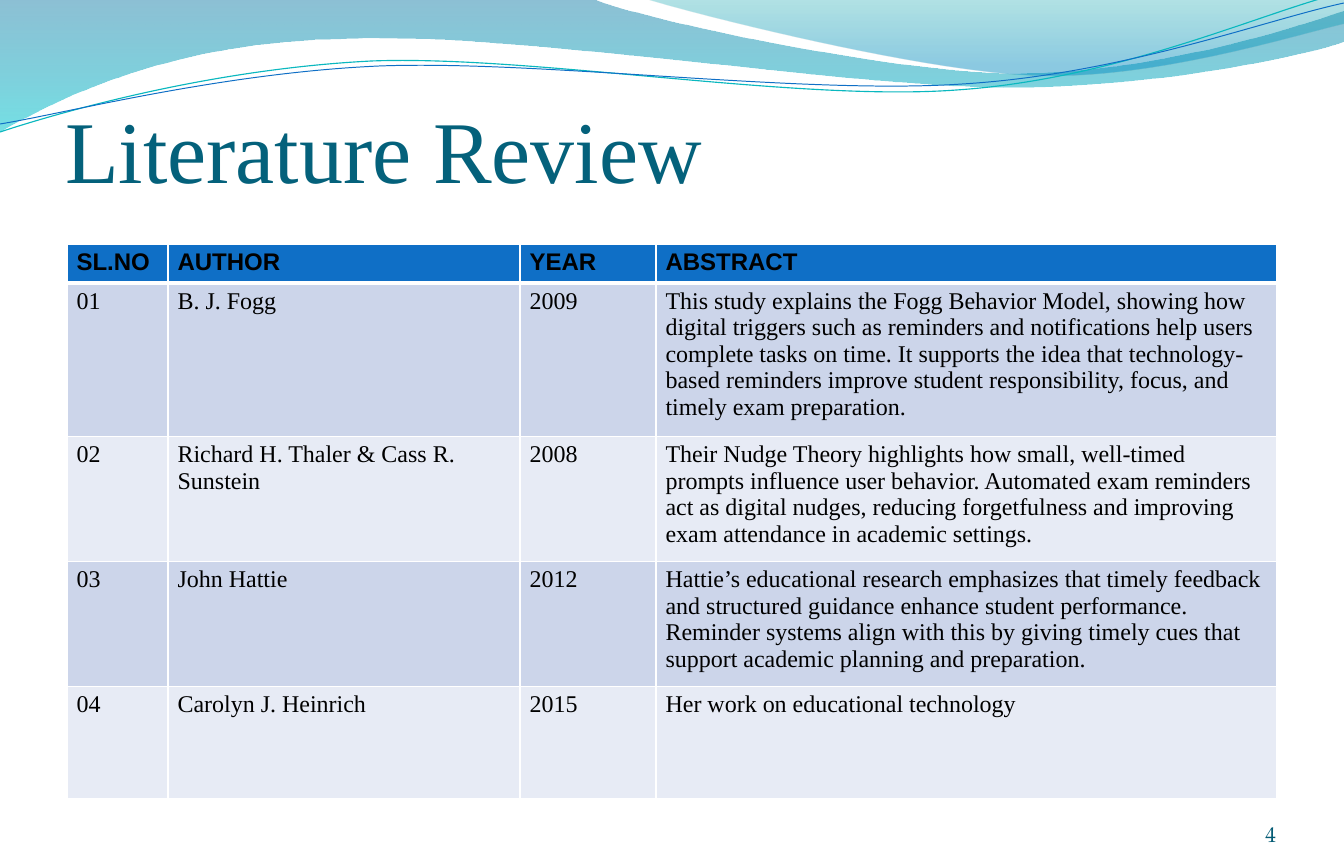
from pptx import Presentation
from pptx import util as u
from pptx.dml import color
from pptx.enum import text
from pptx.oxml import ns
from lxml import etree

PX = 9525
SERIF = "Times New Roman"

BANDS = [
    ([(0, 0), (591, -1), (639, 19, 892, 73, 1020, 73),
      (1146, 73, 1288, 30, 1344, 11), (1345, 41),
      (1322, 51, 1169, 87, 1002, 87), (836, 86, 513, 32, 346, 39),
      (174, 41, 61, 96, -1, 131), (0, 0)],
     [(0, "0074A1", 45), (1, "00C6CF", 55)]),
    ([(644, -1), (684, 12, 917, 71, 1033, 75),
      (1150, 80, 1292, 36, 1344, 24), (1344, 0), (644, -1)],
     [(0, "00A1A9", 30), (0.8, "008BBF", 45)]),
]
LINES = [
    ([(0, 132), (64, 111, 212, 69, 372, 61), (532, 55, 796, 102, 957, 90),
      (1119, 79, 1261, 13, 1341, -7)], "0AB8BF", 0.85),
    ([(0, 124), (63, 114, 220, 73, 380, 66), (541, 60, 803, 95, 963, 84),
      (1124, 74, 1265, 20, 1344, 3)], "0F6FC6", 0.75),
]
COLS = [101, 352, 136, 621]
HEIGHTS = [39, 125, 104, 112, 112]
ROWS = [
    ("SL.NO", "AUTHOR", "YEAR", "ABSTRACT"),
    ("01", "B. J. Fogg", "2009",
     "This study explains the Fogg Behavior Model, showing how digital triggers "
     "such as reminders and notifications help users complete tasks on time. It "
     "supports the idea that technology-based reminders improve student "
     "responsibility, focus, and timely exam preparation."),
    ("02", "Richard H. Thaler & Cass R. Sunstein", "2008",
     "Their Nudge Theory highlights how small, well-timed prompts influence user "
     "behavior. Automated exam reminders act as digital nudges, reducing "
     "forgetfulness and improving exam attendance in academic settings."),
    ("03", "John Hattie", "2012",
     "Hattie’s educational research emphasizes that timely feedback and "
     "structured guidance enhance student performance. Reminder systems align "
     "with this by giving timely cues that support academic planning and "
     "preparation."),
    ("04", "Carolyn J. Heinrich", "2015", "Her work on educational technology"),
]


def px(n):
    return u.Emu(round(n * PX))


def rgb(code):
    return color.RGBColor.from_string(code)


def style(font, face, size, code, bold=False):
    font.name, font.size, font.bold = face, u.Pt(size), bold
    font.color.rgb = rgb(code)


def curve(slide, box, route, close):
    left, top = box
    dots = [(px(left + x), px(top + y)) for part in route
            for x, y in zip(part[::2], part[1::2])]
    pen = slide.shapes.build_freeform(*dots[0], scale=1.0)
    pen.add_line_segments(dots[1:], close=close)
    shape = pen.convert_to_shape()
    shape.shadow.inherit = False
    steps = iter(list(shape.element.spPr.iter(ns.qn("a:lnTo"))))
    for part in route[1:]:
        bend = next(steps)
        if len(part) == 6:
            bend.tag = ns.qn("a:cubicBezTo")
            for _ in range(2):
                step = next(steps)
                bend.append(step[0])
                step.getparent().remove(step)
    return shape


def add_waves(slide, box):
    for route, stops in BANDS:
        band = curve(slide, box, route, True)
        band.line.fill.background()
        band.fill.gradient()
        band.fill.gradient_angle = 270
        for stop, (place, code, _) in zip(band.fill.gradient_stops, stops):
            stop.position = place
            stop.color.rgb = rgb(code)
        tints = band.element.spPr.iter(ns.qn("a:srgbClr"))
        for tint, (_, _, alpha) in zip(list(tints), stops):
            etree.SubElement(tint, ns.qn("a:alpha"), val=str(alpha * 1000))
    for route, code, width in LINES:
        line = curve(slide, box, route, False)
        line.fill.background()
        line.line.color.rgb = rgb(code)
        line.line.width = u.Pt(width)


def add_label(slide, box, words, face, size, code, align, inset=0):
    frame = slide.shapes.add_textbox(*map(px, box)).text_frame
    frame.word_wrap = True
    frame.vertical_anchor = text.MSO_ANCHOR.BOTTOM
    frame.margin_left = frame.margin_right = frame.margin_bottom = 0
    frame.margin_top = px(inset)
    frame.text = words
    frame.paragraphs[0].alignment = align
    style(frame.paragraphs[0].runs[0].font, face, size, code)


def add_edge(cell, side, width):
    props = cell._tc.get_or_add_tcPr()
    edge = etree.SubElement(props, ns.qn("a:ln" + side), w=str(u.Pt(width)))
    fill = etree.SubElement(edge, ns.qn("a:solidFill"))
    etree.SubElement(fill, ns.qn("a:srgbClr"), val="FFFFFF")


def add_review(slide, box):
    left, top = box
    table = slide.shapes.add_table(
        len(ROWS), len(COLS), px(left), px(top),
        px(sum(COLS)), px(sum(HEIGHTS))).table
    for col, width in zip(table.columns, COLS):
        col.width = px(width)
    for r, (row, high) in enumerate(zip(ROWS, HEIGHTS)):
        table.rows[r].height = px(high)
        head = r == 0
        shade = "0F6FC6" if head else ("E7EBF5", "CCD5EA")[r % 2]
        for c, words in enumerate(row):
            cell = table.cell(r, c)
            for side in "LRTB":
                thick = (r, side) in ((0, "B"), (1, "T"))
                add_edge(cell, side, 3 if thick else 1)
            cell.fill.solid()
            cell.fill.fore_color.rgb = rgb(shade)
            cell.text_frame.text = words
            style(cell.text_frame.paragraphs[0].runs[0].font,
                  "Arial" if head else SERIF, 18, "000000", head)


def main():
    deck = Presentation()
    deck.slide_width, deck.slide_height = px(1344), px(864)
    slide = deck.slides.add_slide(deck.slide_layouts[6])
    add_waves(slide, (0, 0))
    add_label(slide, (65, 80, 1210, 121), "Literature Review", SERIF, 66,
              "04617B", text.PP_ALIGN.LEFT, 7)
    add_label(slide, (1164, 801, 112, 46), "4", "TeX Gyre Pagella", 16,
              "045C75", text.PP_ALIGN.RIGHT)
    add_review(slide, (67, 244))
    deck.save("out.pptx")


if __name__ == "__main__":
    main()
